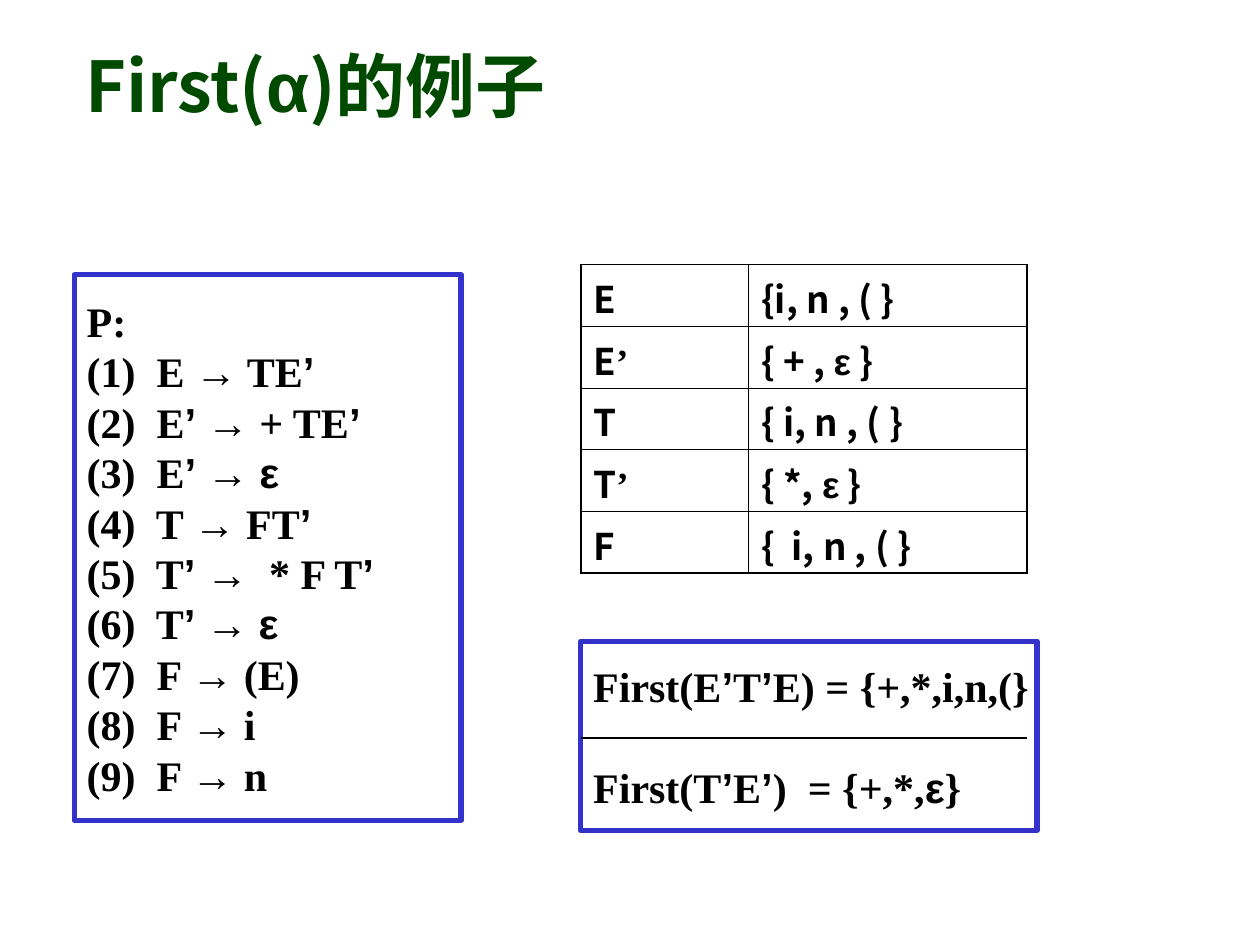
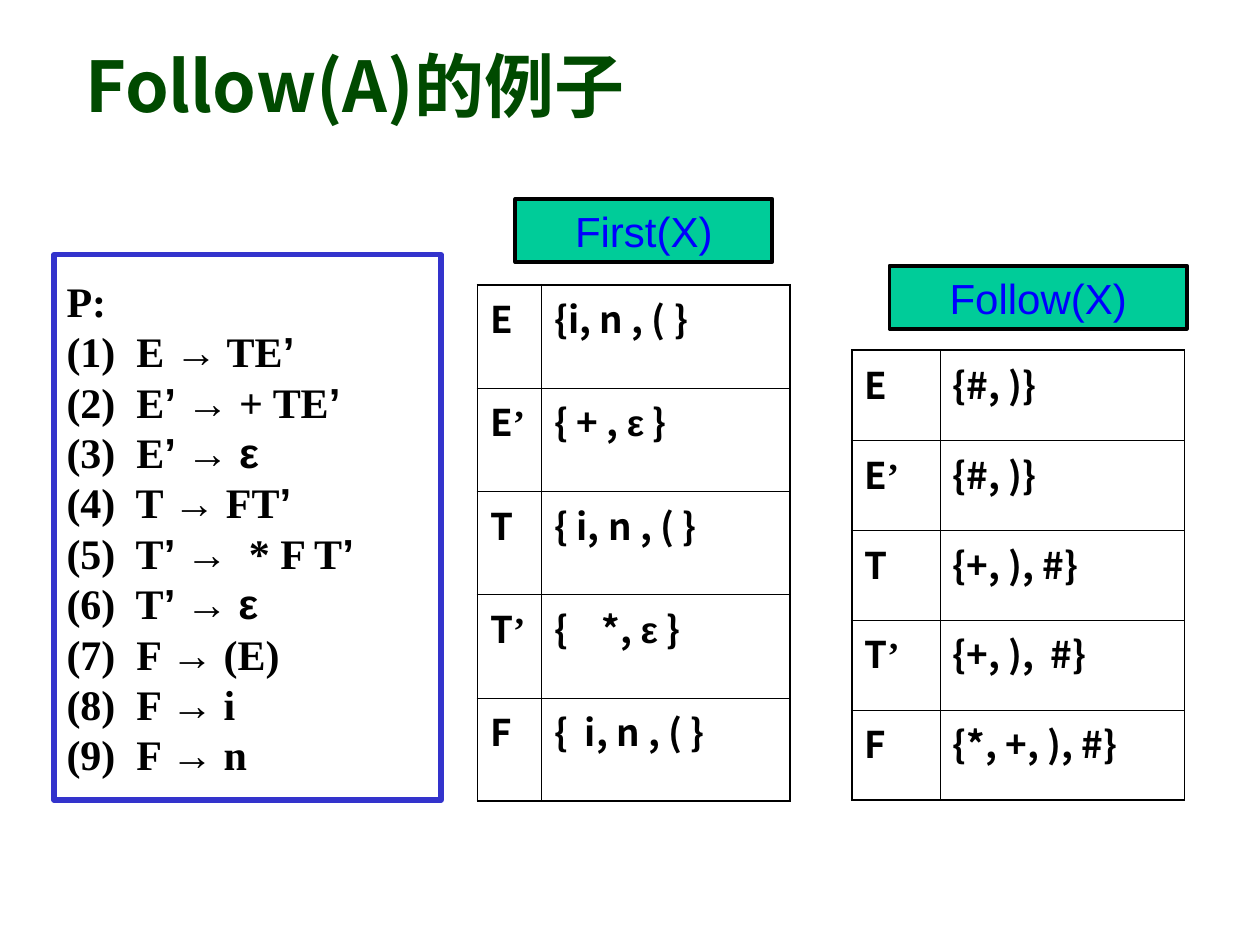
from dataclasses import dataclass, field
from itertools import groupby
from typing import Optional

from lxml.etree import SubElement
from pptx import Presentation
from pptx.dml.color import RGBColor
from pptx.enum.shapes import MSO_CONNECTOR as Connector, MSO_SHAPE as Preset
from pptx.enum.text import MSO_ANCHOR as Anchor, PP_ALIGN as Align
from pptx.oxml.ns import qn
from pptx.util import Inches, Pt

SANS, SERIF, CJK = "Arial", "Times New Roman", "Noto Sans CJK KR"


@dataclass(frozen=True)
class TextStyle:
    size: float
    font: str
    color: str
    bold: bool = True
    symbol_fonts: dict[str, str] = field(default_factory=dict)
    leading: Optional[float] = None


@dataclass(frozen=True)
class Theme:
    ink: str = "000000"
    frame: str = "3333CC"
    label_fill: str = "00CC99"
    frame_width: float = 3
    label_line: float = 2.25
    rule: float = 1
    outer_border: float = 1.08
    inner_border: float = 0.45
    title: TextStyle = TextStyle(40, CJK, "004A00", symbol_fonts={"α": SANS})
    body: TextStyle = TextStyle(24, SERIF, "000000", leading=28.8,
                                symbol_fonts=dict.fromkeys("’→ε", SANS))
    cell: TextStyle = TextStyle(21, CJK, "000000",
                                symbol_fonts={"’": SERIF, "ε": SANS})
    label: TextStyle = TextStyle(24, SANS, "0000FF", bold=False)


@dataclass(frozen=True)
class Area:
    left: float
    top: float
    width: float
    height: float

    def lengths(self) -> list[Inches]:
        return [Inches(v) for v in (self.left, self.top, self.width, self.height)]


@dataclass(frozen=True)
class SetTable:
    """One row for each nonterminal, with its symbol set beside it."""
    left: float
    top: float
    columns: tuple[float, float]
    row_height: float
    sets: tuple[str, ...]


@dataclass(frozen=True)
class Label:
    text: str
    area: Area


THEME = Theme()
NONTERMINALS = ("E", "E’", "T", "T’", "F")
PRODUCTIONS = ("E → TE’", "E’ → + TE’", "E’ → ε", "T → FT’", "T’ →  * F T’",
               "T’ → ε", "F → (E)", "F → i", "F → n")
GRAMMAR = ["P:"] + [f"({n})  {rule}" for n, rule in enumerate(PRODUCTIONS, 1)]
GRAMMAR_SIZE = (3.07, 4.33)
TITLE_AREA = Area(0.58, 0.17, 8.49, 1)

FIRST_EXAMPLE = SetTable(4.61, 2.1, (1.33, 2.21), 0.49, (
    "{i, n , ( }", "{ + , ε }", "{ i, n , ( }", "{ *, ε }", "{  i, n , ( }"))
FIRST_SETS = SetTable(3.79, 2.26, (0.51, 1.97), 0.82, (
    "{i, n , ( }", "{ + , ε }", "{ i, n , ( }", "{    *, ε }", "{  i, n , ( }"))
FOLLOW_SETS = SetTable(6.76, 2.78, (0.7, 1.94), 0.714, (
    "{#, )}", "{#, )}", "{+, ), #}", "{+, ),  #}", "{*, +, ), #}"))
LABELS = (Label("First(X)", Area(4.09, 1.58, 2.04, 0.5)),
          Label("Follow(X)", Area(7.06, 2.11, 2.36, 0.5)))
STRING_SETS = ["First(E’T’E) = {+,*,i,n,(}", "First(T’E’)  = {+,*,ε}"]
STRING_SETS_AREA = Area(4.61, 5.09, 3.62, 1.5)
STRING_RULE_Y, STRING_RULE_END = 5.86, 8.15


def rgb(color: str) -> RGBColor:
    return RGBColor.from_string(color)


def add_runs(paragraph, text: str, style: TextStyle) -> None:
    """Split the text where its symbols call for another font."""
    if style.leading:
        paragraph.line_spacing = Pt(style.leading)
    for font_name, chars in groupby(
            text, lambda char: style.symbol_fonts.get(char, style.font)):
        run = paragraph.add_run()
        run.text = "".join(chars)
        run.font.size = Pt(style.size)
        run.font.bold = style.bold
        run.font.color.rgb = rgb(style.color)
        run.font.name = font_name
        if font_name == CJK:
            SubElement(run.font._element, qn("a:ea"), typeface=CJK)


def write_lines(frame, lines: list[str], style: TextStyle,
                align: Align = Align.LEFT, gap: float = 0) -> None:
    frame.vertical_anchor = Anchor.MIDDLE
    for index, line in enumerate(lines):
        paragraph = frame.add_paragraph() if index else frame.paragraphs[0]
        paragraph.alignment = align
        if index and gap:
            paragraph.space_before = Pt(gap)
        add_runs(paragraph, line, style)


def add_title(slide, text: str) -> None:
    frame = slide.shapes.add_textbox(*TITLE_AREA.lengths()).text_frame
    frame.word_wrap = True
    write_lines(frame, [text], THEME.title)


def add_box(slide, area: Area, line_color: str, line_width: float,
            fill: Optional[str] = None):
    box = slide.shapes.add_shape(Preset.RECTANGLE, *area.lengths())
    box.shadow.inherit = False
    if fill:
        box.fill.solid()
        box.fill.fore_color.rgb = rgb(fill)
    else:
        box.fill.background()
    box.line.color.rgb = rgb(line_color)
    box.line.width = Pt(line_width)
    box.text_frame.word_wrap = False
    return box.text_frame


def add_framed_text(slide, area: Area, lines: list[str], gap: float = 0) -> None:
    frame = add_box(slide, area, THEME.frame, THEME.frame_width)
    write_lines(frame, lines, THEME.body, gap=gap)


def add_grammar(slide, left: float, top: float) -> None:
    add_framed_text(slide, Area(left, top, *GRAMMAR_SIZE), GRAMMAR)


def add_label(slide, label: Label) -> None:
    frame = add_box(slide, label.area, THEME.ink, THEME.label_line, THEME.label_fill)
    write_lines(frame, [label.text], THEME.label, Align.CENTER)


def set_borders(cell, outer_sides: dict[str, bool]) -> None:
    properties = cell._tc.get_or_add_tcPr()
    for position, (side, is_outer) in enumerate(outer_sides.items()):
        width = THEME.outer_border if is_outer else THEME.inner_border
        border = SubElement(properties, qn(f"a:{side}"), w=str(Pt(width)))
        fill = SubElement(border, qn("a:solidFill"))
        SubElement(fill, qn("a:srgbClr"), val=THEME.ink)
        properties.insert(position, border)


def add_set_table(slide, spec: SetTable) -> None:
    rows = list(zip(NONTERMINALS, spec.sets))
    area = Area(spec.left, spec.top, sum(spec.columns), spec.row_height * len(rows))
    table = slide.shapes.add_table(len(rows), len(spec.columns), *area.lengths()).table
    table.first_row = table.horz_banding = False
    for column, width in zip(table.columns, spec.columns):
        column.width = Inches(width)
    for r, row in enumerate(rows):
        table.rows[r].height = Inches(spec.row_height)
        for c, text in enumerate(row):
            cell = table.cell(r, c)
            cell.fill.background()
            add_runs(cell.text_frame.paragraphs[0], text, THEME.cell)
            set_borders(cell, {"lnL": c == 0, "lnR": c == len(row) - 1,
                               "lnT": r == 0, "lnB": r == len(rows) - 1})


def add_rule(slide, left: float, right: float, y: float) -> None:
    rule = slide.shapes.add_connector(
        Connector.STRAIGHT, Inches(left), Inches(y), Inches(right), Inches(y))
    rule.line.color.rgb = rgb(THEME.ink)
    rule.line.width = Pt(THEME.rule)
    SubElement(rule._element.spPr, qn("a:effectLst"))


def build_first_slide(slide) -> None:
    add_title(slide, "First(α)的例子")
    add_grammar(slide, 0.59, 2.18)
    add_set_table(slide, FIRST_EXAMPLE)
    add_framed_text(slide, STRING_SETS_AREA, STRING_SETS, gap=THEME.body.leading)
    add_rule(slide, STRING_SETS_AREA.left, STRING_RULE_END, STRING_RULE_Y)


def build_follow_slide(slide) -> None:
    add_title(slide, "Follow(A)的例子")
    add_grammar(slide, 0.43, 2.02)
    for sets in (FIRST_SETS, FOLLOW_SETS):
        add_set_table(slide, sets)
    for label in LABELS:
        add_label(slide, label)


def main() -> None:
    deck = Presentation()
    deck.slide_width, deck.slide_height = Inches(10), Inches(7.5)
    blank = deck.slide_layouts[6]
    for build in (build_first_slide, build_follow_slide):
        build(deck.slides.add_slide(blank))
    deck.save("out.pptx")


if __name__ == "__main__":
    main()
